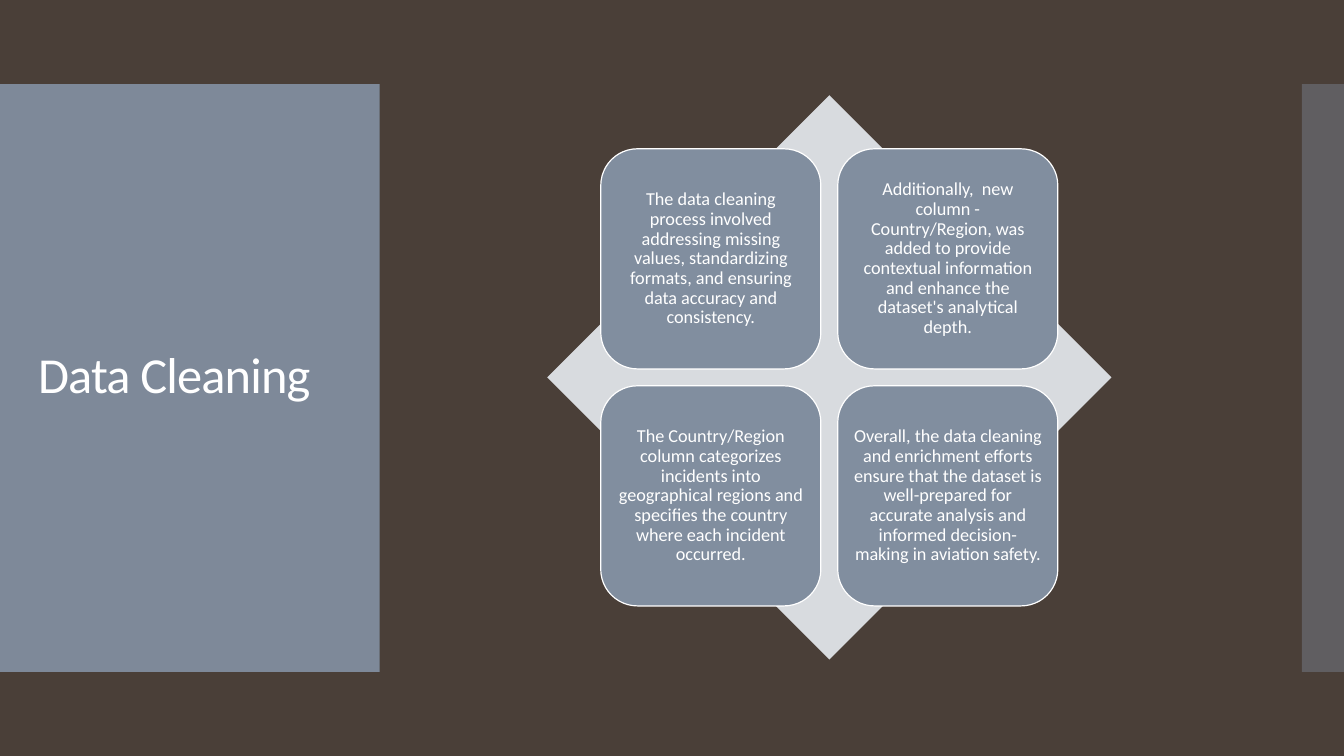
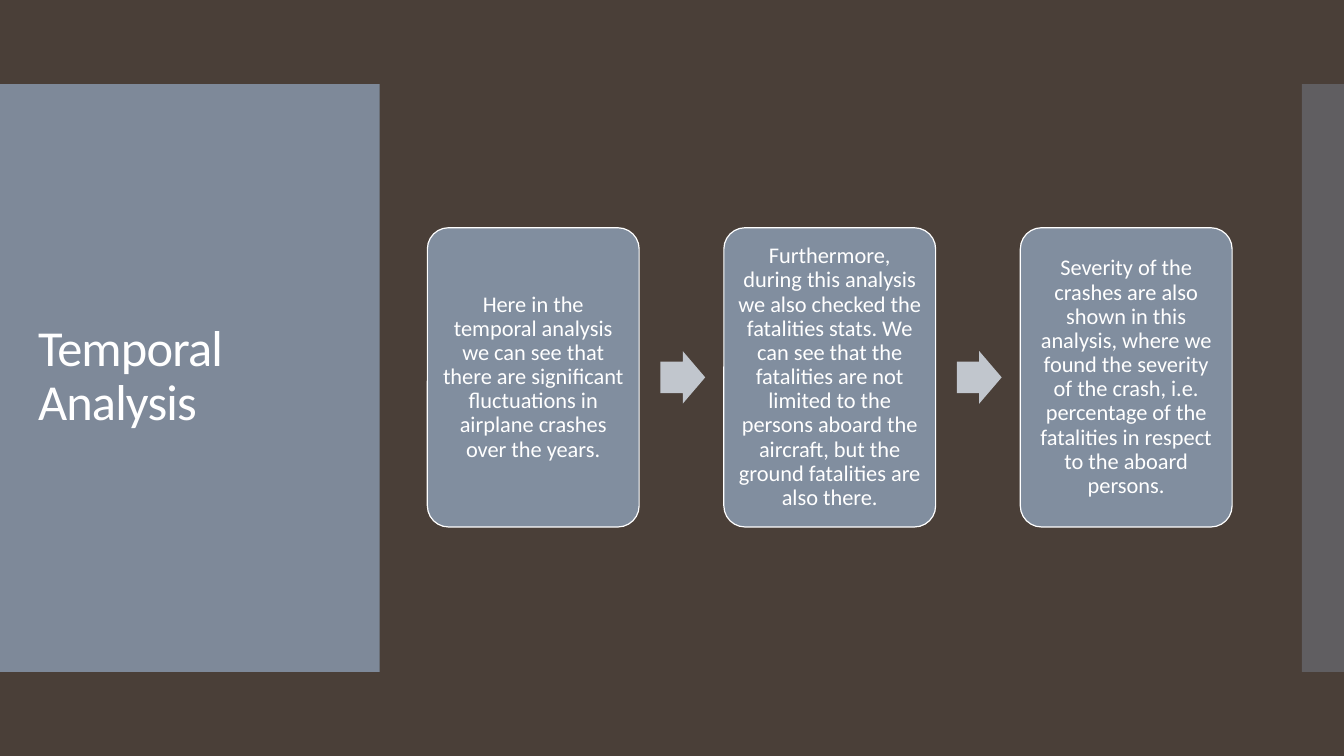
from lxml.etree import SubElement
from pptx import Presentation
from pptx.dml.color import RGBColor
from pptx.enum.shapes import MSO_SHAPE as Preset
from pptx.enum.text import MSO_ANCHOR as Anchor, PP_ALIGN as Align
from pptx.oxml.ns import qn
from pptx.util import Cm, Pt

BROWN = RGBColor(0x4A, 0x3F, 0x38)
SLATE = RGBColor(0x81, 0x8E, 0x9F)
PALE = RGBColor(0xD8, 0xDB, 0xDF)
SILVER = RGBColor(0xC1, 0xC6, 0xCD)
WHITE = RGBColor(0xFF, 0xFF, 0xFF)
FONT = "Calibri"

SLIDE_WIDTH, SLIDE_HEIGHT = 33.87, 19.05
BAND_TOP, BAND_HEIGHT = 2.12, 14.81
PANEL_WIDTH, EDGE_WIDTH = 9.57, 1.06

CLEANING_STEPS = [
    "The data cleaning process involved addressing missing values, "
    "standardizing formats, and ensuring data accuracy and consistency.",
    "Additionally,  new column - Country/Region, was added to provide "
    "contextual information and enhance the dataset's analytical depth.",
    "The Country/Region column categorizes incidents into geographical "
    "regions and specifies the country where each incident occurred.",
    "Overall, the data cleaning and enrichment efforts ensure that the "
    "dataset is well-prepared for accurate analysis and informed "
    "decision-making in aviation safety.",
]
TEMPORAL_FINDINGS = [
    "Here in the temporal analysis we can see that there are significant "
    "fluctuations in airplane crashes over the years.",
    "Furthermore, during this analysis we also checked the fatalities stats. "
    "We can see that the fatalities are not limited to the persons aboard "
    "the aircraft, but the ground fatalities are also there.",
    "Severity of the crashes are also shown in this analysis, where we found "
    "the severity of the crash, i.e. percentage of the fatalities in respect "
    "to the aboard persons.",
]


def add_filled(slide, preset, left, top, width, height, color, opacity=100):
    """Add a flat preset shape; lengths are in centimetres."""
    shape = slide.shapes.add_shape(preset, Cm(left), Cm(top), Cm(width), Cm(height))
    shape.shadow.inherit = False
    shape.fill.solid()
    shape.fill.fore_color.rgb = color
    shape.line.fill.background()
    if opacity < 100:
        color_element = shape._element.spPr.find(qn("a:solidFill"))[0]
        SubElement(color_element, qn("a:alpha")).set("val", str(opacity * 1000))
    return shape


def write(frame, text, size, align):
    frame.word_wrap = True
    frame.vertical_anchor = Anchor.MIDDLE
    paragraph = frame.paragraphs[0]
    paragraph.text = text
    paragraph.alignment = align
    paragraph.line_spacing = 0.9
    paragraph.font.name = FONT
    paragraph.font.size = Pt(size)
    paragraph.font.color.rgb = WHITE
    return paragraph


def add_card(slide, left, top, width, height, text, size, inset, corner):
    card = add_filled(slide, Preset.ROUNDED_RECTANGLE, left, top, width, height, SLATE)
    card.adjustments[0] = corner
    card.line.color.rgb = WHITE
    card.line.width = Pt(0.85)
    frame = card.text_frame
    frame.margin_left = frame.margin_right = Cm(inset)
    frame.margin_top = frame.margin_bottom = Cm(inset)
    write(frame, text, size, Align.CENTER)


def add_titled_slide(presentation, title):
    """Add a slide with the shared background, side bands and title."""
    slide = presentation.slides.add_slide(presentation.slide_layouts[6])
    slide.background.fill.solid()
    slide.background.fill.fore_color.rgb = BROWN
    add_filled(slide, Preset.RECTANGLE, 0, BAND_TOP, PANEL_WIDTH, BAND_HEIGHT, SLATE, 95)
    add_filled(slide, Preset.RECTANGLE, SLIDE_WIDTH - EDGE_WIDTH, BAND_TOP,
               EDGE_WIDTH, BAND_HEIGHT, SLATE, 40)
    title_box = slide.shapes.add_textbox(Cm(0.71), Cm(3.12), Cm(8.18), Cm(12.78))
    paragraph = write(title_box.text_frame, title, 36, Align.LEFT)
    paragraph._p.pPr.find(qn("a:defRPr")).set("spc", "-60")
    return slide


def add_matrix(slide, left, top, side, texts):
    """Lay four cards two by two over a diamond that fills the square."""
    add_filled(slide, Preset.DIAMOND, left, top, side, side, PALE)
    card_side, gap = 0.39 * side, 0.03 * side
    margin = (side - 2 * card_side - gap) / 2
    for index, text in enumerate(texts):
        row, column = divmod(index, 2)
        add_card(slide, left + margin + column * (card_side + gap),
                 top + margin + row * (card_side + gap),
                 card_side, card_side, text, 13, inset=0.13, corner=0.1667)


def add_process(slide, left, top, width, height, texts):
    """Lay cards in a row, with an arrow in each gap."""
    gap_ratio = 0.4
    card_width = width / (len(texts) + gap_ratio * (len(texts) - 1))
    pitch = card_width * (1 + gap_ratio)
    arrow_width, arrow_height = 0.212 * card_width, 0.248 * card_width
    for index, text in enumerate(texts):
        card_left = left + index * pitch
        if index:
            arrow = add_filled(slide, Preset.RIGHT_ARROW,
                               card_left - 0.3 * card_width,
                               top + (height - arrow_height) / 2,
                               arrow_width, arrow_height, SILVER)
            arrow.adjustments[0] = 0.6
            arrow.adjustments[1] = 0.5
        add_card(slide, card_left, top, card_width, height, text, 16,
                 inset=0.18, corner=0.1)


def main():
    presentation = Presentation()
    presentation.slide_width = Cm(SLIDE_WIDTH)
    presentation.slide_height = Cm(SLIDE_HEIGHT)
    add_matrix(add_titled_slide(presentation, "Data Cleaning"),
               13.79, 2.4, 14.22, CLEANING_STEPS)
    add_process(add_titled_slide(presentation, "Temporal Analysis"),
                10.77, 5.74, 20.28, 7.54, TEMPORAL_FINDINGS)
    presentation.save("out.pptx")


if __name__ == "__main__":
    main()
